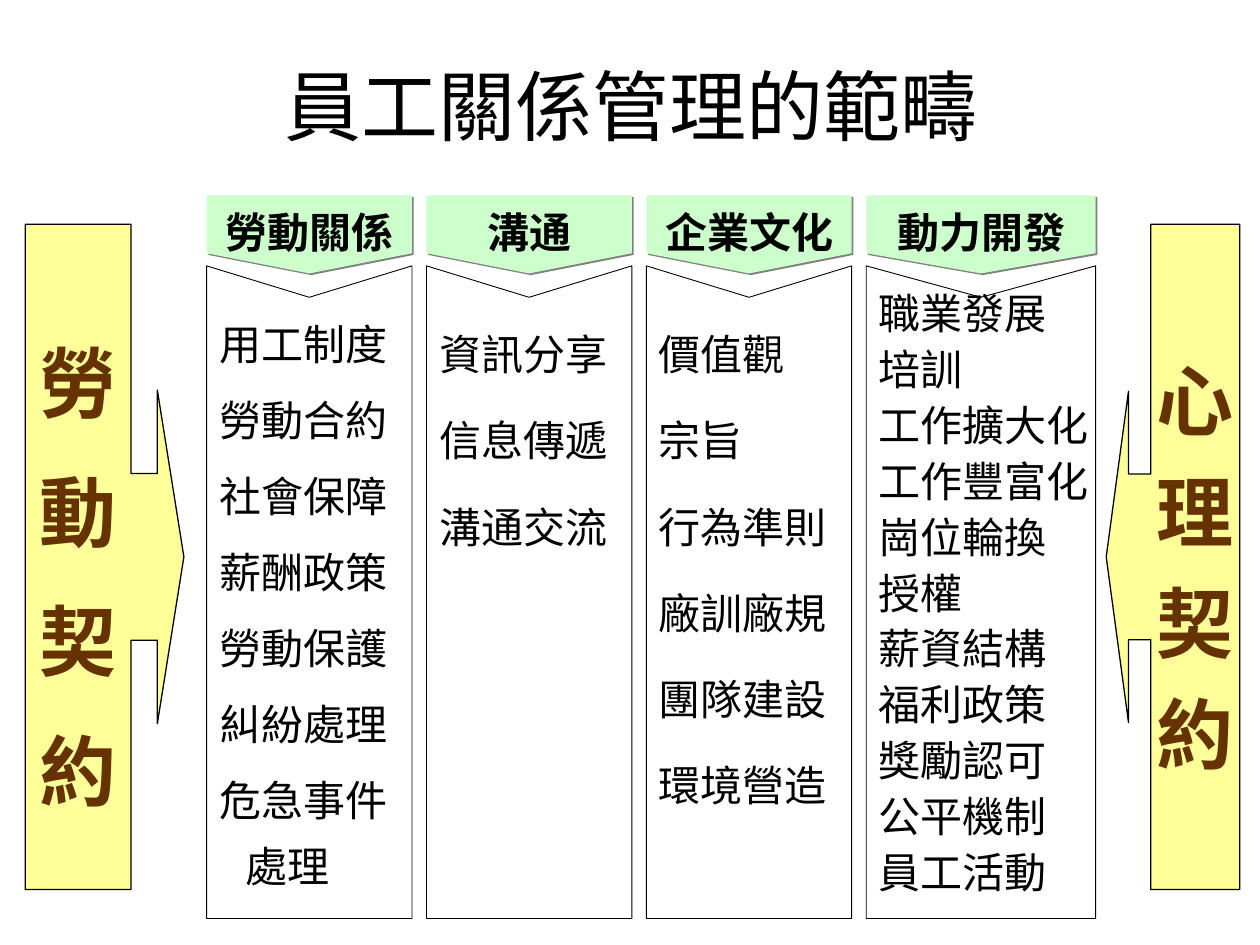
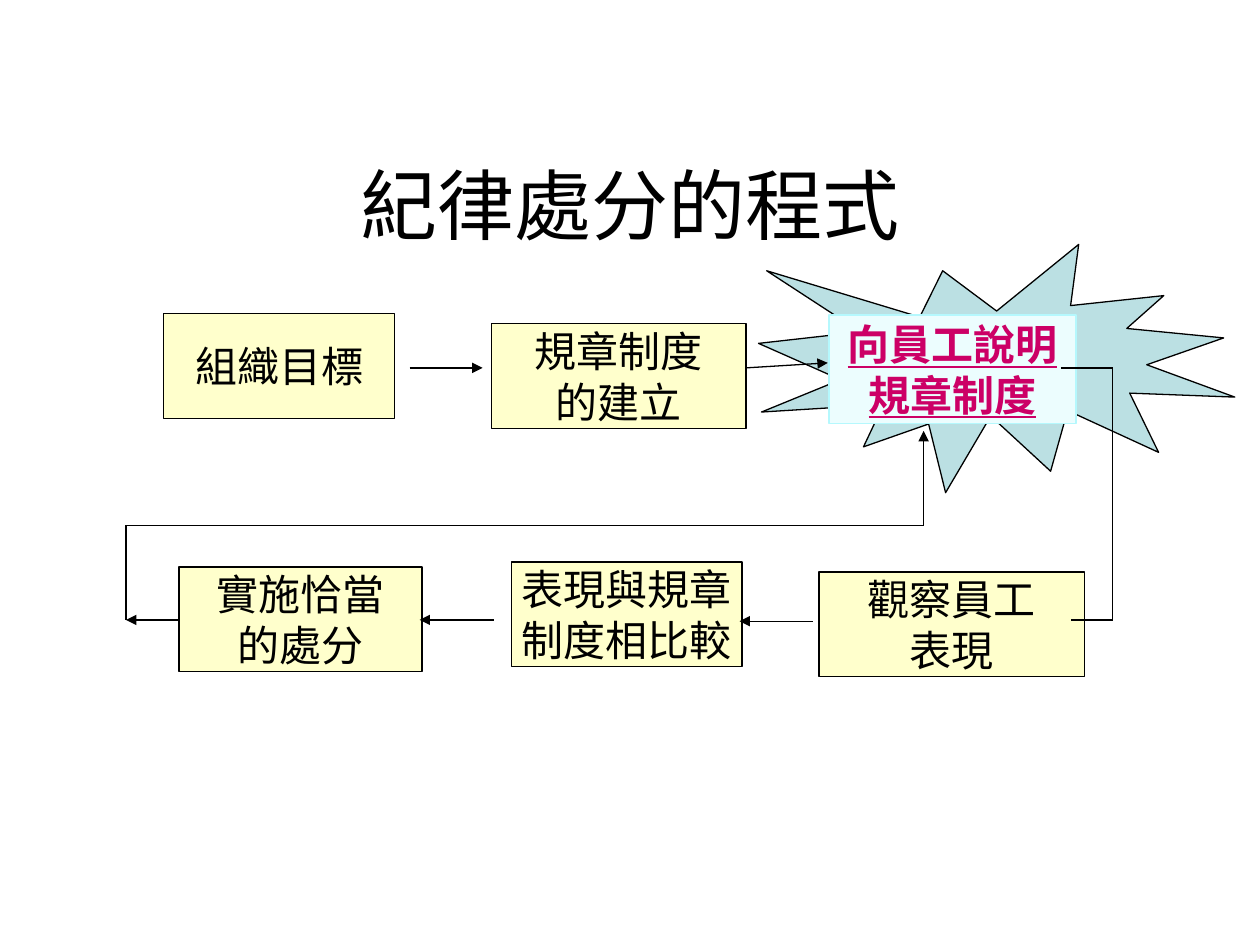
from dataclasses import dataclass
from itertools import pairwise

from lxml.etree import SubElement
from pptx import Presentation
from pptx.dml.color import RGBColor
from pptx.enum.shapes import MSO_CONNECTOR as Connector, MSO_SHAPE as Preset
from pptx.enum.text import MSO_ANCHOR as Anchor, PP_ALIGN as Align
from pptx.oxml.ns import qn
from pptx.util import Inches, Pt

BLACK = RGBColor(0x00, 0x00, 0x00)
MINT = RGBColor(0xCC, 0xFF, 0xCC)
YELLOW = RGBColor(0xFF, 0xFF, 0x99)
BROWN = RGBColor(0x66, 0x33, 0x00)
CREAM = RGBColor(0xFF, 0xFF, 0xCC)
TEAL = RGBColor(0xBB, 0xE0, 0xE3)
ICE = RGBColor(0xEC, 0xFD, 0xFE)
ICE_EDGE = RGBColor(0xB5, 0xF8, 0xFD)
MAGENTA = RGBColor(0xCC, 0x00, 0x66)
SHADOW_GREY = "808080"

TITLE_STYLE = dict(name="Arial", size=Pt(44), color=BLACK)
HEADER_STYLE = dict(name="Arial", size=Pt(24), color=BLACK, bold=True)
ITEM_STYLE = dict(name="Arial", size=Pt(24), color=BLACK)
CONTRACT_STYLE = dict(name="Arial", size=Pt(44), color=BROWN, bold=True)
STEP_STYLE = dict(name="Times New Roman", size=Pt(24), color=BLACK)
KEY_STEP_STYLE = STEP_STYLE | dict(color=MAGENTA, bold=True, underline=True)

COLUMN_LEFT, COLUMN_PITCH = 1.64, 1.745
HEADER_TOP, HEADER_SHOULDER, HEADER_TIP = 1.55, 2.01, 2.17
PANEL_TOP, PANEL_NOTCH, PANEL_BOTTOM = 2.11, 2.36, 7.29


@dataclass
class Column:
    header: str
    items: list[str]
    spacing: float
    width: float = 1.63
    list_top: float = 2.41
    list_width: float = 1.45


@dataclass
class Contract:
    preset: Preset
    left: float
    width: float
    head: float
    text: str
    spacing: float


@dataclass
class Step:
    left: float
    top: float
    width: float
    lines: list[str]
    height: float = 0.83
    fill: RGBColor = CREAM
    edge: RGBColor = BLACK
    style: dict | None = None


@dataclass
class Route:
    points: list[tuple[float, float]]
    arrow: bool = True


COLUMNS = [
    Column("勞動關係", ["用工制度", "勞動合約", "社會保障", "薪酬政策", "勞動保護",
                    "糾紛處理", "危急事件處理"], 1.3),
    Column("溝通", ["資訊分享", "信息傳遞", "溝通交流"], 1.5),
    Column("企業文化", ["價值觀", "宗旨", "行為準則", "廠訓廠規", "團隊建設", "環境營造"], 1.5),
    Column("動力開發", ["職業發展", "培訓", "工作擴大化", "工作豐富化", "崗位輪換", "授權",
                    "薪資結構", "福利政策", "獎勵認可", "公平機制", "員工活動"],
           0.9, width=1.82, list_top=2.33, list_width=1.81),
]
CONTRACTS = [
    Contract(Preset.RIGHT_ARROW_CALLOUT, 0.2, 1.26, 1.05, "勞動契約", 1.4),
    Contract(Preset.LEFT_ARROW_CALLOUT, 8.78, 1.06, 1.24, "心理契約", 1.2),
]
STEPS = [
    Step(1.3, 2.49, 1.83, ["組織目標"]),
    Step(3.9, 2.57, 2.02, ["規章制度", "的建立"]),
    Step(6.58, 2.5, 1.96, ["向員工說明", "規章制度"], 0.86, ICE, ICE_EDGE, KEY_STEP_STYLE),
    Step(1.42, 4.5, 1.93, ["實施恰當", "的處分"]),
    Step(4.06, 4.46, 1.83, ["表現與規章", "制度相比較"]),
    Step(6.5, 4.54, 2.11, ["觀察員工", "表現"]),
]
ROUTES = [
    Route([(3.25, 2.92), (3.83, 2.92)]),
    Route([(5.92, 2.92), (6.57, 2.88)]),
    Route([(8.42, 2.92), (8.83, 2.92), (8.83, 4.92), (8.5, 4.92)], arrow=False),
    Route([(6.45, 4.93), (5.87, 4.93)]),
    Route([(3.92, 4.92), (3.33, 4.92)]),
    Route([(1.42, 4.92), (1, 4.92)]),
    Route([(1, 4.92), (1, 4.17), (7.33, 4.17), (7.33, 3.42)]),
]


def style_font(font, style: dict) -> None:
    for key, value in style.items():
        if key == "color":
            font.color.rgb = value
        else:
            setattr(font, key, value)


def write_lines(frame, lines: list[str], style: dict, align=Align.CENTER,
                spacing: float | None = None, gap: float = 0, hanging: float = 0) -> None:
    """Fill a text frame with one paragraph per line; gap separates paragraphs."""
    for index, line in enumerate(lines):
        para = frame.add_paragraph() if index else frame.paragraphs[0]
        para.alignment = align
        if spacing:
            para.line_spacing = spacing
        if gap and index:
            para.space_before = Pt(gap)
        if hanging:
            properties = para._p.get_or_add_pPr()
            properties.set("marL", str(Inches(hanging)))
            properties.set("indent", str(-Inches(hanging)))
        span = para.add_run()
        span.text = line
        style_font(span.font, style)


def add_title(page, text: str, left: float, top: float, width: float) -> None:
    title = page.shapes.title
    title.left, title.top = Inches(left), Inches(top)
    title.width, title.height = Inches(width), Inches(1.25)
    title.text_frame.vertical_anchor = Anchor.MIDDLE
    write_lines(title.text_frame, [text], TITLE_STYLE)


def add_text_box(page, left: float, top: float, width: float, height: float, anchor):
    box = page.shapes.add_textbox(Inches(left), Inches(top), Inches(width), Inches(height))
    frame = box.text_frame
    for side in ("left", "top", "right", "bottom"):
        setattr(frame, f"margin_{side}", 0)
    frame.word_wrap = True
    frame.vertical_anchor = anchor
    return frame


def add_preset(page, preset, left: float, top: float, width: float, height: float,
               fill: RGBColor, edge: RGBColor = BLACK):
    shape = page.shapes.add_shape(preset, Inches(left), Inches(top),
                                  Inches(width), Inches(height))
    shape.shadow.inherit = False
    shape.fill.solid()
    shape.fill.fore_color.rgb = fill
    shape.line.color.rgb = edge
    shape.line.width = Pt(0.75)
    shape.text_frame.word_wrap = False
    shape.text_frame.vertical_anchor = Anchor.MIDDLE
    return shape


def add_outline(page, points: list[tuple[float, float]]):
    start, *rest = [(Inches(x), Inches(y)) for x, y in points]
    builder = page.shapes.build_freeform(*start)
    builder.add_line_segments(rest, close=True)
    shape = builder.convert_to_shape()
    shape.shadow.inherit = False
    return shape


def add_hard_shadow(shape) -> None:
    effects = shape._element.spPr.find(qn("a:effectLst"))
    shadow = SubElement(effects, qn("a:outerShdw"), dist=str(Pt(1.4)),
                        dir="2700000", algn="ctr", rotWithShape="0")
    SubElement(shadow, qn("a:srgbClr"), val=SHADOW_GREY)


def add_column(page, left: float, column: Column) -> None:
    right, middle = left + column.width, left + column.width / 2
    header = add_outline(page, [(right, HEADER_TOP), (right, HEADER_SHOULDER),
                                (middle, HEADER_TIP), (left, HEADER_SHOULDER),
                                (left, HEADER_TOP)])
    header.fill.solid()
    header.fill.fore_color.rgb = MINT
    header.line.fill.background()
    add_hard_shadow(header)

    panel = add_outline(page, [(right, PANEL_BOTTOM), (right, PANEL_TOP),
                               (middle, PANEL_NOTCH), (left, PANEL_TOP),
                               (left, PANEL_BOTTOM)])
    panel.fill.background()
    panel.line.color.rgb = BLACK
    panel.line.width = Pt(0.5)

    label = add_text_box(page, left + 0.04, 1.64, column.width - 0.07, 0.4, Anchor.MIDDLE)
    write_lines(label, [column.header], HEADER_STYLE)
    items = add_text_box(page, left + 0.1, column.list_top, column.list_width,
                         PANEL_BOTTOM - column.list_top, Anchor.TOP)
    write_lines(items, column.items, ITEM_STYLE, Align.LEFT, column.spacing,
                gap=6, hanging=0.21)


def add_contract(page, contract: Contract) -> None:
    callout = add_preset(page, contract.preset, contract.left, 1.78,
                         contract.width, 5.28, YELLOW)
    for index, value in enumerate((contract.head, contract.head, 0.167, 0.667)):
        callout.adjustments[index] = value
    write_lines(callout.text_frame, list(contract.text), CONTRACT_STYLE,
                spacing=contract.spacing)


def add_step(page, step: Step) -> None:
    box = add_preset(page, Preset.RECTANGLE, step.left, step.top, step.width,
                     step.height, step.fill, step.edge)
    write_lines(box.text_frame, step.lines, step.style or STEP_STYLE)


def add_route(page, route: Route) -> None:
    """Join the points with straight lines, the last one with an arrowhead."""
    for start, end in pairwise(route.points):
        line = page.shapes.add_connector(Connector.STRAIGHT, *map(Inches, start + end))
        line.line.color.rgb = BLACK
        line.line.width = Pt(0.75)
        if route.arrow and end == route.points[-1]:
            SubElement(line.line._get_or_add_ln(), qn("a:tailEnd"), type="triangle")
        SubElement(line._element.spPr, qn("a:effectLst"))


def build_scope_page(page) -> None:
    add_title(page, "員工關係管理的範疇", 0.51, 0.21, 9)
    for index, column in enumerate(COLUMNS):
        add_column(page, COLUMN_LEFT + index * COLUMN_PITCH, column)
    for contract in CONTRACTS:
        add_contract(page, contract)


def build_discipline_page(page) -> None:
    add_preset(page, Preset.EXPLOSION1, 6.02, 1.94, 3.78, 1.97, TEAL)
    add_title(page, "紀律處分的程式", 0.75, 0.99, 8.5)
    for step in STEPS:
        add_step(page, step)
    for route in ROUTES:
        add_route(page, route)


def main() -> None:
    deck = Presentation()
    deck.slide_width, deck.slide_height = Inches(10), Inches(7.5)
    title_only = deck.slide_layouts[5]
    for build in (build_scope_page, build_discipline_page):
        build(deck.slides.add_slide(title_only))
    deck.save("out.pptx")


if __name__ == "__main__":
    main()
